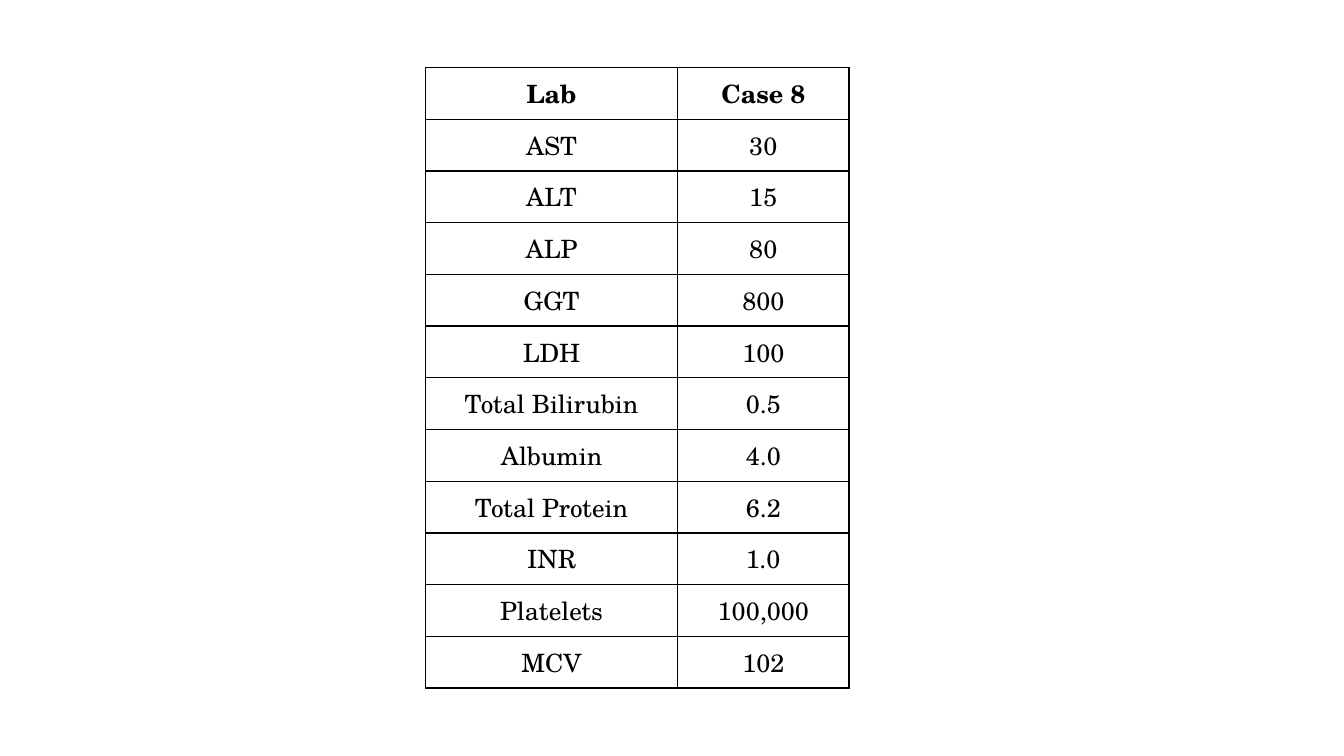
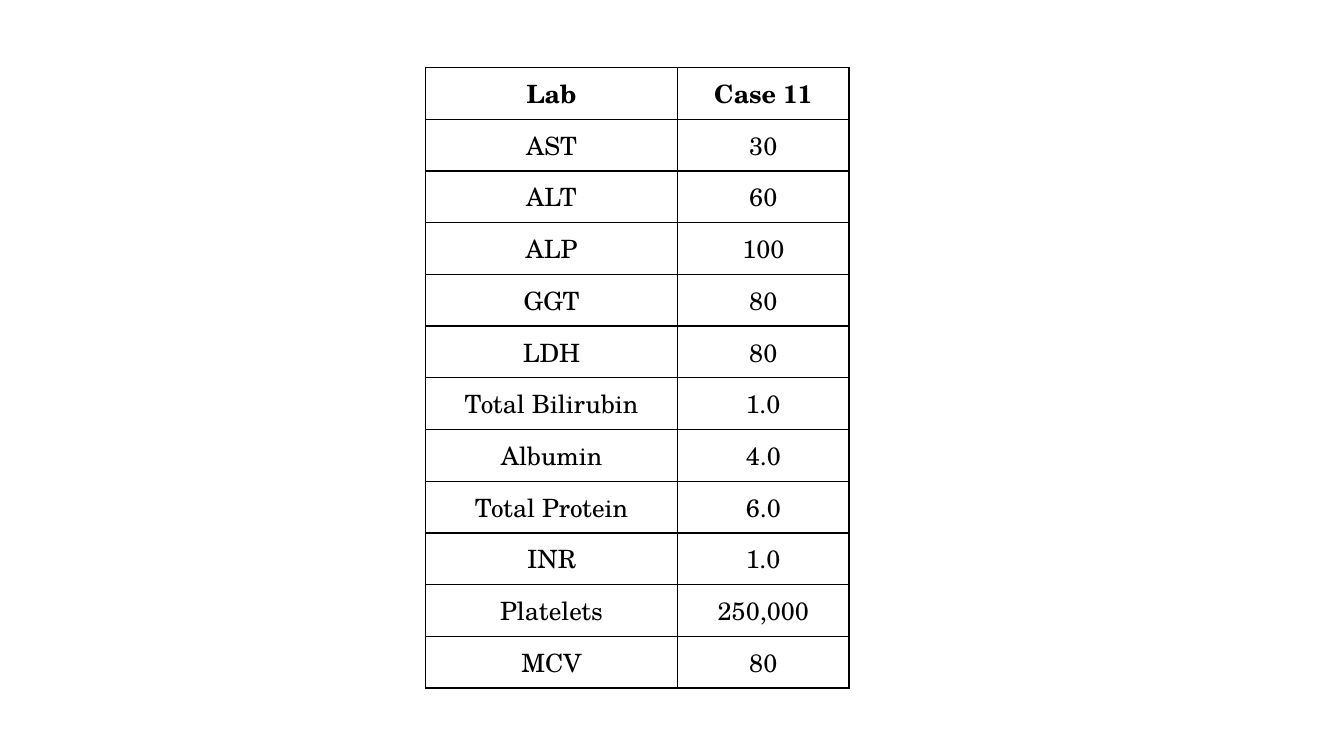
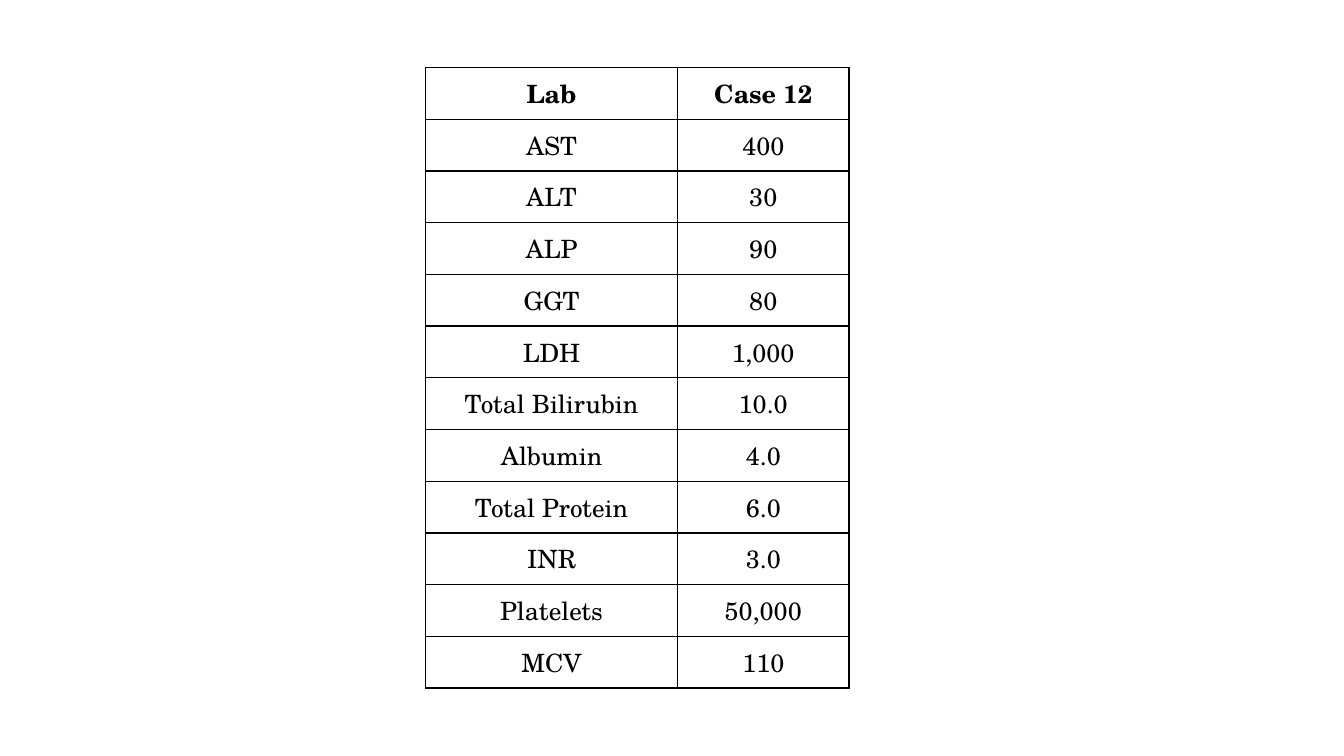
from dataclasses import dataclass
from itertools import product

from lxml import etree
from pptx import Presentation
from pptx import util as u
from pptx.dml.color import RGBColor
from pptx.enum import text
from pptx.oxml import ns
from pptx.presentation import Presentation as Deck
from pptx.slide import Slide
from pptx.table import _Cell as Cell


@dataclass(frozen=True)
class Theme:
    font: str = "TeX Gyre Schola"
    size: int = 18
    ink: str = "000000"
    border: int = 1


@dataclass(frozen=True)
class Grid:
    slide_width: float = 13.33
    slide_height: float = 7.5
    left: float = 4.22
    top: float = 0.67
    height: float = 6.16
    columns: tuple[float, ...] = (2.5, 1.7)


@dataclass(frozen=True)
class LabCase:
    number: int
    results: tuple[str, ...]

    def rows(self) -> list[tuple[str, str]]:
        return [("Lab", f"Case {self.number}"), *zip(LABS, self.results)]


THEME = Theme()
GRID = Grid()
LABS = (
    "AST", "ALT", "ALP", "GGT", "LDH", "Total Bilirubin",
    "Albumin", "Total Protein", "INR", "Platelets", "MCV",
)
CASES = (
    LabCase(8, ("30", "15", "80", "800", "100", "0.5", "4.0", "6.2", "1.0", "100,000", "102")),
    LabCase(11, ("30", "60", "100", "80", "80", "1.0", "4.0", "6.0", "1.0", "250,000", "80")),
    LabCase(12, ("400", "30", "90", "80", "1,000", "10.0", "4.0", "6.0", "3.0", "50,000", "110")),
)


def add_borders(cell: Cell) -> None:
    properties = cell._tc.get_or_add_tcPr()
    for side in ("a:lnL", "a:lnR", "a:lnT", "a:lnB"):
        line = etree.SubElement(properties, ns.qn(side), w=str(u.Pt(THEME.border)))
        fill = etree.SubElement(line, ns.qn("a:solidFill"))
        etree.SubElement(fill, ns.qn("a:srgbClr"), val=THEME.ink)


def fill_cell(cell: Cell, words: str, bold: bool) -> None:
    add_borders(cell)
    cell.fill.background()
    cell.vertical_anchor = text.MSO_ANCHOR.MIDDLE
    para = cell.text_frame.paragraphs[0]
    para.alignment = text.PP_ALIGN.CENTER
    span = para.add_run()
    span.text = words
    formats = {"name": THEME.font, "size": u.Pt(THEME.size), "bold": bold}
    for name, value in formats.items():
        setattr(span.font, name, value)
    span.font.color.rgb = RGBColor.from_string(THEME.ink)


def add_lab_table(page: Slide, case: LabCase) -> None:
    rows = case.rows()
    bounds = (GRID.left, GRID.top, sum(GRID.columns), GRID.height)
    frame = page.shapes.add_table(len(rows), len(GRID.columns), *map(u.Inches, bounds))
    table = frame.table
    table.first_row = table.horz_banding = False
    for column, width in zip(table.columns, GRID.columns):
        column.width = u.Inches(width)
    for row, column in product(range(len(rows)), range(len(GRID.columns))):
        fill_cell(table.cell(row, column), rows[row][column], bold=row == 0)


def build_deck() -> Deck:
    deck = Presentation()
    deck.slide_width = u.Inches(GRID.slide_width)
    deck.slide_height = u.Inches(GRID.slide_height)
    blank = deck.slide_layouts[6]
    for case in CASES:
        add_lab_table(deck.slides.add_slide(blank), case)
    return deck


def main() -> None:
    build_deck().save("out.pptx")


if __name__ == "__main__":
    main()
